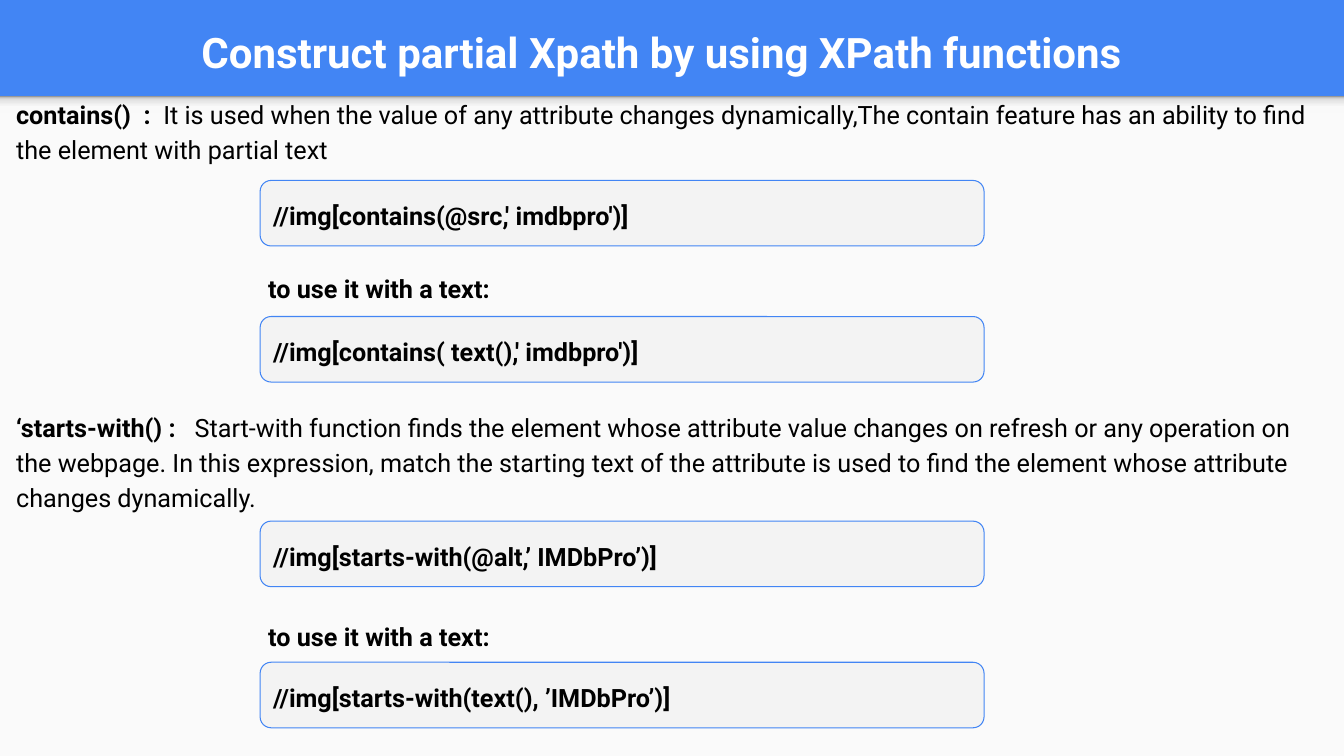
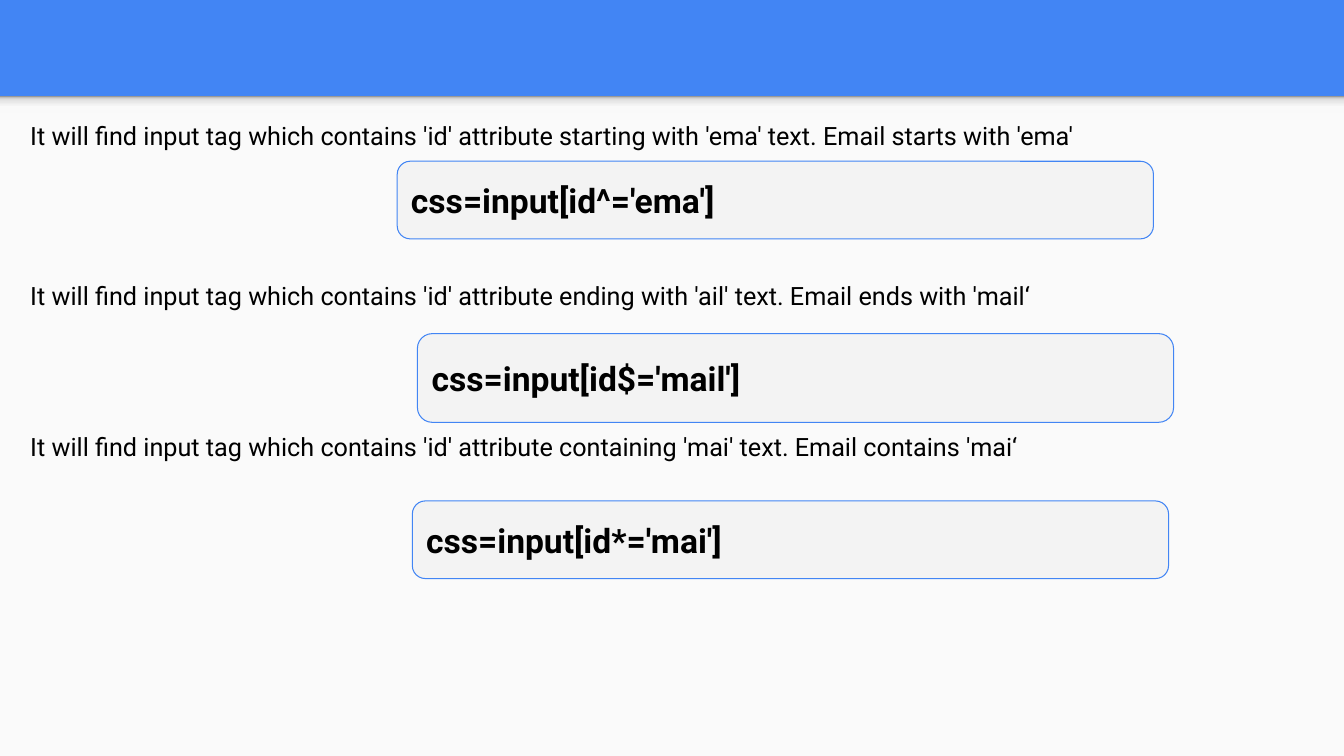
import pptx
import pptx.util
import pptx.dml.color
import pptx.enum.shapes
import pptx.enum.text
import pptx.oxml.ns
from lxml import etree

Inches = pptx.util.Inches
Pt = pptx.util.Pt
RGBColor = pptx.dml.color.RGBColor
qn = pptx.oxml.ns.qn
SHAPES = pptx.enum.shapes.MSO_SHAPE
ANCHOR = pptx.enum.text.MSO_ANCHOR
ALIGN = pptx.enum.text.PP_ALIGN

BLUE = RGBColor(0x42, 0x85, 0xF4)
PAPER = RGBColor(0xFA, 0xFA, 0xFA)
CODE_FILL = RGBColor(0xF3, 0xF3, 0xF3)
BLACK = RGBColor(0, 0, 0)
WHITE = RGBColor(255, 255, 255)
SHADOW_STOPS = [(0, "F9F9F9"), (36, "F9F9F9"), (80, "DEDEDE"), (100, "999999")]

FONT = "Roboto"
SLIDE_WIDTH, SLIDE_HEIGHT, BAND_HEIGHT = 13.33, 7.5, 0.96
INSET = 0.1
LOOSE, SINGLE = 1.15, 1.0
LOOSE_LINE, SINGLE_LINE = 24.85, 21.57
SPACE_WIDTH = 4.45

TEXT_USE = {"runs": [("to use it with a text:", True)], "indent": 2.5,
            "before": 3 * LOOSE_LINE}

SLIDES = [
    {
        "title": "Construct partial Xpath by using XPath functions",
        "body_box": (0.06, 0.94, 13.2, 6.48),
        "body_top_inset": 0,
        "body": [
            {"runs": [("contains()", True), (" ", True, SPACE_WIDTH),
                      (":", True), (" ", True, SPACE_WIDTH),
                      ("It is used when the value of any attribute changes dynamically,The contain "
                       "feature has an ability to find the element with partial text", False)]},
            TEXT_USE,
            {"runs": [("‘starts-with() :", True), (" ", True, 2 * SPACE_WIDTH),
                      ("Start-with function finds the element whose attribute value changes on refresh "
                       "or any operation on the webpage. In this expression, match the starting text of "
                       "the attribute is used to find the element whose attribute changes dynamically.",
                       False)],
             "before": 3 * LOOSE_LINE},
            TEXT_USE,
        ],
        "code_size": 18,
        "code_spacing": LOOSE,
        "code": [
            ("//img[contains(@src,' imdbpro')]", (2.58, 1.79, 7.18, 0.65)),
            ("//img[contains( text(),' imdbpro')]", (2.58, 3.14, 7.18, 0.65)),
            ("//img[starts-with(@alt,’ IMDbPro’)]", (2.58, 5.17, 7.18, 0.65)),
            ("//img[starts-with(text(), ’IMDbPro’)]", (2.58, 6.57, 7.18, 0.65)),
        ],
    },
    {
        "title": None,
        "body_box": (0.2, 1.05, 12.97, 6.13),
        "body_top_inset": INSET,
        "body": [
            {"runs": [("It will find input tag which contains 'id' attribute starting with 'ema' text. "
                       "Email starts with 'ema'", False)]},
            {"runs": [("It will find input tag which contains 'id' attribute ending with 'ail' text. "
                       "Email ends with 'mail‘", False)],
             "before": 2 * LOOSE_LINE + 2 * SINGLE_LINE, "spacing": SINGLE},
            {"runs": [("It will find input tag which contains 'id' attribute containing 'mai' text. "
                       "Email contains 'mai‘", False)],
             "before": 4 * SINGLE_LINE, "spacing": SINGLE},
        ],
        "code_size": 24,
        "code_spacing": SINGLE,
        "code": [
            ("css=input[id^='ema']", (3.94, 1.6, 7.5, 0.77)),
            ("css=input[id$='mail']", (4.14, 3.31, 7.5, 0.88)),
            ("css=input[id*='mai']", (4.09, 4.97, 7.5, 0.77)),
        ],
    },
]


def place(shape, box):
    shape.left, shape.top, shape.width, shape.height = map(Inches, box)


def prepare_frame(shape, anchor, top_inset=INSET):
    frame = shape.text_frame
    frame.word_wrap = True
    frame.auto_size = pptx.enum.text.MSO_AUTO_SIZE.NONE
    frame.vertical_anchor = anchor
    frame.margin_left = frame.margin_right = frame.margin_bottom = Inches(INSET)
    frame.margin_top = Inches(top_inset)
    return frame


def add_run(paragraph, text, size, color=BLACK, bold=False, tracking=0):
    run = paragraph.add_run()
    run.text = text
    run.font.name = FONT
    run.font.size = Pt(size)
    run.font.bold = bold
    run.font.color.rgb = color
    if tracking:
        run._r.get_or_add_rPr().set("spc", str(round(tracking * 100)))


def add_plain_shape(slide, kind, box, fill):
    shape = slide.shapes.add_shape(kind, *map(Inches, box))
    shape.shadow.inherit = False
    shape.fill.solid()
    shape.fill.fore_color.rgb = fill
    shape.line.fill.background()
    return shape


def decorate_master(master, slide):
    master.background.fill.solid()
    master.background.fill.fore_color.rgb = BLUE
    panel = add_plain_shape(slide, SHAPES.RECTANGLE,
                            (0, BAND_HEIGHT, SLIDE_WIDTH, SLIDE_HEIGHT - BAND_HEIGHT), PAPER)
    shadow = add_plain_shape(slide, SHAPES.RECTANGLE, (0, 0.95, SLIDE_WIDTH, 0.17), PAPER)
    shadow.fill.gradient()
    shadow.fill.gradient_angle = 90
    stops = next(shadow.element.iter(qn("a:gsLst")))
    for stop in list(stops):
        stops.remove(stop)
    for position, color in SHADOW_STOPS:
        stop = etree.SubElement(stops, qn("a:gs"), pos=str(position * 1000))
        etree.SubElement(stop, qn("a:srgbClr"), val=color)
    tree = master.shapes.element
    for index, shape in enumerate((panel, shadow)):
        tree.insert(2 + index, shape.element)


def fill_title(title, text):
    if text is None:
        title.element.getparent().remove(title.element)
        return
    place(title, (0.13, 0.15, 12.87, 0.65))
    title.fill.solid()
    title.fill.fore_color.rgb = BLUE
    paragraph = prepare_frame(title, ANCHOR.MIDDLE).paragraphs[0]
    paragraph.alignment = ALIGN.CENTER
    paragraph.line_spacing = LOOSE
    add_run(paragraph, text, 30, WHITE, True)


def fill_body(body, content):
    place(body, content["body_box"])
    frame = prepare_frame(body, ANCHOR.TOP, content["body_top_inset"])
    for index, item in enumerate(content["body"]):
        paragraph = frame.add_paragraph() if index else frame.paragraphs[0]
        properties = paragraph._p.get_or_add_pPr()
        properties.set("marL", str(Inches(item.get("indent", 0))))
        properties.set("indent", "0")
        etree.SubElement(properties, qn("a:buNone"))
        paragraph.alignment = ALIGN.LEFT
        paragraph.line_spacing = item.get("spacing", LOOSE)
        paragraph.space_before = Pt(item.get("before", 0))
        for text, bold, *tracking in item["runs"]:
            add_run(paragraph, text, 18, bold=bold, tracking=sum(tracking))


def add_code_box(slide, text, box, size, spacing):
    shape = add_plain_shape(slide, SHAPES.ROUNDED_RECTANGLE, box, CODE_FILL)
    shape.adjustments[0] = 0.167
    shape.line.color.rgb = BLUE
    shape.line.width = Pt(0.75)
    paragraph = prepare_frame(shape, ANCHOR.MIDDLE).paragraphs[0]
    paragraph.alignment = ALIGN.LEFT
    paragraph.line_spacing = spacing
    add_run(paragraph, text, size, bold=True)


def main():
    presentation = pptx.Presentation()
    presentation.slide_width = Inches(SLIDE_WIDTH)
    presentation.slide_height = Inches(SLIDE_HEIGHT)
    layout = presentation.slide_layouts[1]
    for number, content in enumerate(SLIDES):
        slide = presentation.slides.add_slide(layout)
        if number == 0:
            decorate_master(presentation.slide_master, slide)
        body = slide.placeholders[1]
        fill_title(slide.shapes.title, content["title"])
        fill_body(body, content)
        for text, box in content["code"]:
            add_code_box(slide, text, box, content["code_size"], content["code_spacing"])
    presentation.save("out.pptx")


if __name__ == "__main__":
    main()
